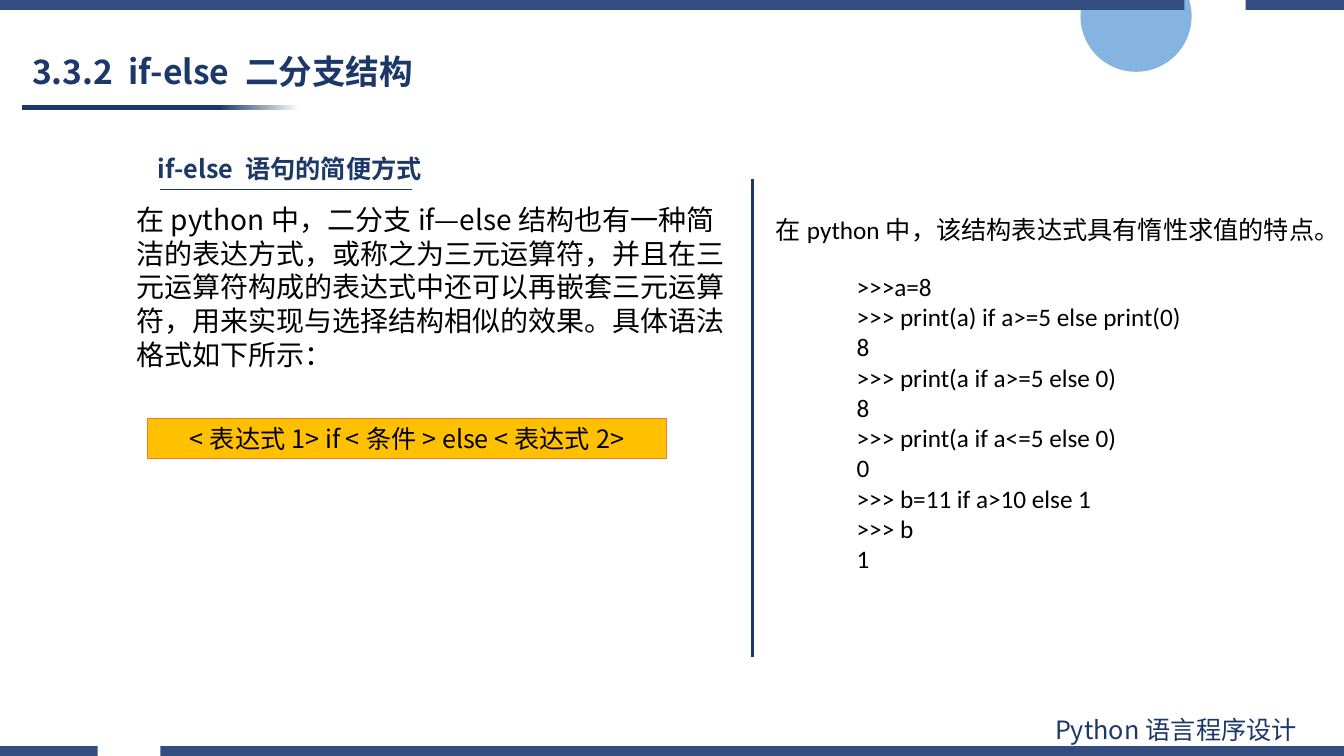
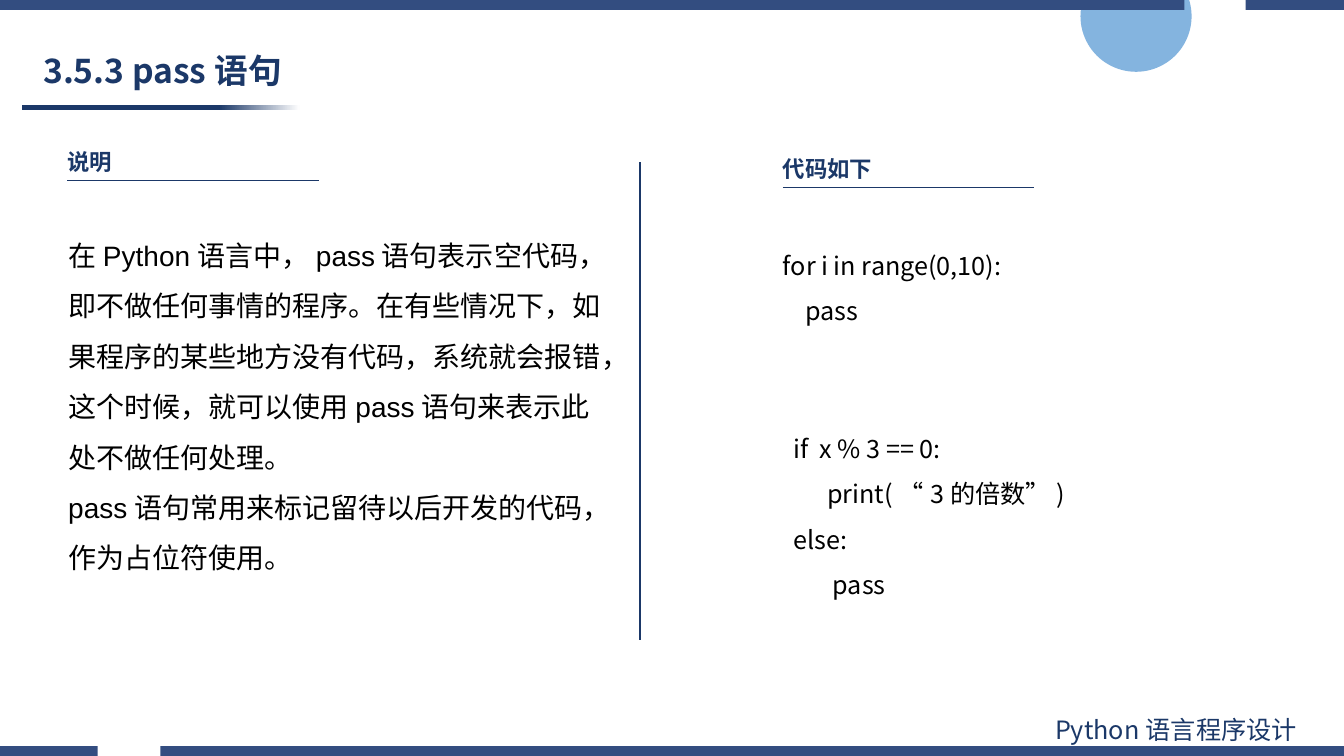
from copy import deepcopy
from dataclasses import dataclass

from lxml.etree import SubElement as Sub
from pptx import Presentation
from pptx.dml.color import RGBColor as Rgb
from pptx.enum.shapes import MSO_CONNECTOR as Link, MSO_SHAPE as Kind
from pptx.enum.text import MSO_ANCHOR as Anchor, MSO_AUTO_SIZE as Auto, PP_ALIGN as Align
from pptx.oxml.ns import qn
from pptx.slide import Slide
from pptx.util import Cm, Pt


# Theme
@dataclass(frozen=True)
class Theme:
    navy: Rgb = Rgb.from_string("1B3868")
    band: Rgb = Rgb.from_string("334D80")
    sky: Rgb = Rgb.from_string("5B9BD5")
    amber: Rgb = Rgb.from_string("FFC000")
    edge: Rgb = Rgb.from_string("ED7D31")
    black: Rgb = Rgb(0, 0, 0)
    white: Rgb = Rgb(255, 255, 255)
    sans: str = "Noto Sans CJK SC"
    title: int = 24
    body: int = 20
    text: int = 18
    small: int = 16


T = Theme()
WIDE, HIGH, THICK = 33.87, 19.05, 0.25


# Parts, with places in centimetres
@dataclass(frozen=True)
class Box:
    x: float
    y: float
    w: float
    h: float
    lines: tuple[str, ...]
    size: int = T.text
    font: str = T.sans
    color: Rgb = T.black
    bold: bool = False
    space: float | None = None
    align: Align | None = None
    indent: float = 0
    middle: bool = False
    framed: bool = False


@dataclass(frozen=True)
class Head:
    x: float
    y: float
    h: float
    text: str
    size: int = T.small
    shift: float = 0.25


@dataclass(frozen=True)
class Page:
    title: Box
    split: tuple[float, float]
    heads: tuple[Head, ...]
    boxes: tuple[Box, ...]


def plain(shape, color: Rgb) -> None:
    shape.shadow.inherit = False
    shape.fill.solid()
    shape.fill.fore_color.rgb = color
    shape.line.fill.background()


def write(slide: Slide, box: Box) -> None:
    place = [Cm(v) for v in (box.x, box.y, box.w, box.h)]
    if box.framed:
        shape = slide.shapes.add_shape(Kind.RECTANGLE, *place)
        plain(shape, T.amber)
        shape.line.color.rgb = T.edge
        shape.line.width = Pt(0.75)
    else:
        shape = slide.shapes.add_textbox(*place)
    frame = shape.text_frame
    frame.word_wrap = True
    frame.auto_size = Auto.NONE if box.middle else Auto.SHAPE_TO_FIT_TEXT
    frame.vertical_anchor = Anchor.MIDDLE if box.middle else Anchor.TOP
    frame.text = "\n".join(box.lines)
    for para in frame.paragraphs:
        para.alignment = box.align
        para.line_spacing = box.space
        font = para.font
        font.size, font.bold, font.name = Pt(box.size), box.bold, box.font
        font.color.rgb = box.color
        props = para._p.pPr
        if box.indent:
            props.set("indent", str(Cm(box.indent)))
        Sub(props.find(qn("a:defRPr")), qn("a:ea"), typeface=T.sans)


def rule(slide: Slide, x: float, y: float, w: float, h: float, weight: float) -> None:
    line = slide.shapes.add_connector(
        Link.STRAIGHT, Cm(x), Cm(y), Cm(x + w), Cm(y + h))
    line.line.color.rgb = T.navy
    line.line.width = Pt(weight)
    Sub(line._element.spPr, qn("a:effectLst"))


def band(slide: Slide, y: float, start: float, end: float) -> None:
    """Draw a full-width strip with a gap from start to end."""
    top, base = Cm(y), Cm(y + THICK)
    pen = slide.shapes.build_freeform(0, top)
    for left, right in ((0, Cm(start)), (Cm(end), Cm(WIDE))):
        pen.move_to(left, top)
        pen.add_line_segments([(right, top), (right, base), (left, base)])
    plain(pen.convert_to_shape(), T.band)


# What the slides share
def frame(slide: Slide) -> None:
    disc = slide.shapes.add_shape(
        Kind.OVAL, Cm(27.23), Cm(-0.99), Cm(2.8), Cm(2.8))
    plain(disc, T.sky)
    tint = disc._element.spPr.find(qn("a:solidFill"))[0]
    Sub(tint, qn("a:alpha"), val="75000")

    bar = slide.shapes.add_shape(
        Kind.RECTANGLE, Cm(0.55), Cm(2.65), Cm(7), Cm(0.13))
    plain(bar, T.navy)
    bar.fill.gradient()
    bar.fill.gradient_angle = 0
    stops = bar._element.spPr.find(f"{qn('a:gradFill')}/{qn('a:gsLst')}")
    stops.insert(0, deepcopy(stops[0]))
    fade = ((0, T.navy), (0.71, T.navy), (1, T.white))
    for stop, (spot, color) in zip(bar.fill.gradient_stops, fade):
        stop.position, stop.color.rgb = spot, color

    band(slide, HIGH - THICK, 2.46, 4.04)
    band(slide, 0, 29.85, 31.39)
    write(slide, Box(26.34, 17.88, 7.47, 1.02, ("Python语言程序设计",), color=T.navy))


def title(x: float, y: float, w: float, text: str) -> Box:
    return Box(x, y, w, 1.42, (text,), T.title, color=T.navy,
               bold=True, space=0.9, middle=True)


def draw(slide: Slide, page: Page) -> None:
    frame(slide)
    write(slide, page.title)
    rule(slide, *page.split, 0, 12.04, 2)
    for head in page.heads:
        write(slide, Box(head.x, head.y, 8.64, head.h, (head.text,), head.size,
                         color=T.navy, bold=True))
        rule(slide, head.x + head.shift, head.y + head.h, 6.34, 0, 0.5)
    for box in page.boxes:
        write(slide, box)


# Content
PAGES = (
    Page(
        title(0.56, 1.14, 14.5, "3.3.2  if-else 二分支结构"),
        (18.97, 4.52),
        (Head(3.73, 3.73, 1.03, "if-else 语句的简便方式", T.text, 0.31),),
        (
            Box(3.18, 4.98, 15.44, 4.52, (
                "在python中，二分支if—else结构也有一种简洁的表达方式，或称之为三元运算符，"
                "并且在三元运算符构成的表达式中还可以再嵌套三元运算符，"
                "用来实现与选择结构相似的效果。具体语法格式如下所示：",), T.body),
            Box(3.73, 10.54, 13.06, 1.02, ("<表达式1> if <条件> else <表达式2>",),
                align=Align.CENTER, framed=True),
            Box(19.3, 5.28, 14.17, 1.02,
                ("在python中，该结构表达式具有惰性求值的特点。",), font="Calibri"),
            Box(20.5, 6.71, 12.17, 7.95, (
                ">>>a=8",
                ">>> print(a) if a>=5 else print(0)",
                "8",
                ">>> print(a if a>=5 else 0)",
                "8",
                ">>> print(a if a<=5 else 0)",
                "0",
                ">>> b=11 if a>10 else 1",
                ">>> b",
                "1",
            ), font="Calibri", align=Align.JUSTIFY, indent=0.84),
        ),
    ),
    Page(
        title(0.84, 1.12, 9.07, "3.5.3 pass语句"),
        (16.13, 4.09),
        (Head(1.45, 3.61, 0.94, "说明"), Head(19.48, 3.78, 0.94, "代码如下")),
        (
            Box(1.47, 5.46, 14.22, 9.25, (
                "在Python语言中，pass语句表示空代码，即不做任何事情的程序。在有些情况下，"
                "如果程序的某些地方没有代码，系统就会报错，"
                "这个时候，就可以使用pass语句来表示此处不做任何处理。",
                "pass语句常用来标记留待以后开发的代码，作为占位符使用。",
            ), T.body, "Arial", space=1.5),
            Box(19.48, 5.79, 7.19, 2.44,
                ("for i in range(0,10):", "    pass"), space=1.5),
            Box(19.74, 10.41, 9.86, 4.75, (
                "if  x % 3 == 0:",
                "      print(“3的倍数”)",
                "else:",
                "       pass",
            ), space=1.5),
        ),
    ),
)


def main() -> None:
    deck = Presentation()
    deck.slide_width, deck.slide_height = Cm(WIDE), Cm(HIGH)
    for page in PAGES:
        draw(deck.slides.add_slide(deck.slide_layouts[6]), page)
    deck.save("out.pptx")


if __name__ == "__main__":
    main()
